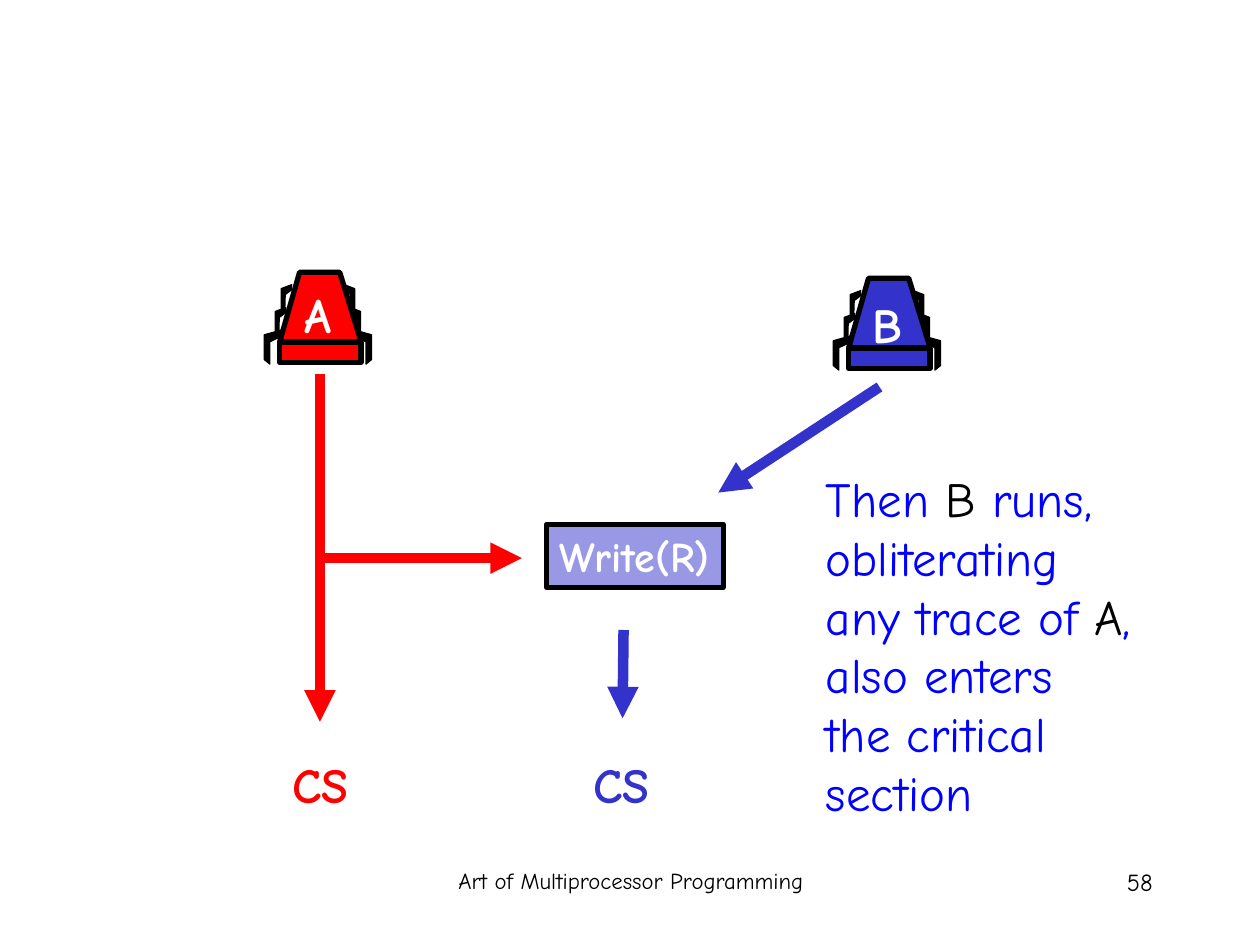
import pptx
import pptx.dml.color
import pptx.enum.shapes
import pptx.enum.text
import pptx.oxml
import pptx.oxml.ns
import pptx.util
from pptx.util import Cm, Pt

FONT = "Comic Neue"
RED, BLUE, TEXT_BLUE = "FF0000", "3333CC", "0000FF"
BLACK, WHITE = "000000", "FFFFFF"
ALIGN = pptx.enum.text.PP_ALIGN
RECT = pptx.enum.shapes.MSO_SHAPE.RECTANGLE

# Leg outlines in cm, from the joint outwards
BIG_LEG = [(0, 0), (0.36, 0.1), (0.36, 0.6), (0.25, 0.69), (0.25, 0.24), (0.02, 0.13)]
SMALL_LEG = [(0, 0), (0.21, 0.08), (0.21, 0.49), (0.14, 0.55), (0.13, 0.2), (0.01, 0.11)]


def rgb(color):
    return pptx.dml.color.RGBColor.from_string(color)


def paint(sp, fill, line=BLACK, width=3):
    sp.shadow.inherit = False
    sp.fill.solid()
    sp.fill.fore_color.rgb = rgb(fill)
    sp.line.color.rgb = rgb(line)
    sp.line.width = Pt(width)


def set_alpha(sp, percent):
    color = sp.fill._xPr.find(".//" + pptx.oxml.ns.qn("a:srgbClr"))
    color.append(pptx.oxml.parse_xml(
        f'<a:alpha {pptx.oxml.ns.nsdecls("a")} val="{percent * 1000}"/>'))


def write(sp, lines, size=28, color=BLACK, bold=False, align=ALIGN.LEFT,
          wrap=True, grow=True):
    """Fill a shape with lines; each line is a list of (text, color or None)."""
    tf = sp.text_frame
    tf.word_wrap = wrap
    if grow:
        tf.auto_size = pptx.enum.text.MSO_AUTO_SIZE.SHAPE_TO_FIT_TEXT
    for i, line in enumerate(lines):
        p = tf.add_paragraph() if i else tf.paragraphs[0]
        p.alignment = align
        for text, run_color in line:
            r = p.add_run()
            r.text = text
            r.font.name = FONT
            r.font.size = Pt(size)
            r.font.bold = bold
            r.font.color.rgb = rgb(run_color or color)


def add_text(shapes, x, y, w, h, text, **fmt):
    lines = [[(text, None)]] if isinstance(text, str) else text
    write(shapes.add_textbox(Cm(x), Cm(y), Cm(w), Cm(h)), lines, **fmt)


def add_outline(shapes, points, fill, width):
    points = [(Cm(x), Cm(y)) for x, y in points]
    builder = shapes.build_freeform(*points[0])
    builder.add_line_segments(points[1:], close=True)
    paint(builder.convert_to_shape(), fill, width=width)


def add_arrow(s, x1, y1, x2, y2, color):
    line = s.shapes.add_connector(pptx.enum.shapes.MSO_CONNECTOR.STRAIGHT,
                                  Cm(x1), Cm(y1), Cm(x2), Cm(y2))
    line.line.color.rgb = rgb(color)
    line.line.width = Pt(6)
    ns = pptx.oxml.ns.nsdecls("a")
    line.line._get_or_add_ln().append(
        pptx.oxml.parse_xml(f'<a:tailEnd {ns} type="triangle"/>'))
    line._element.spPr.append(pptx.oxml.parse_xml(f"<a:effectLst {ns}/>"))


def add_legs(shapes, cx, top, dx, dy, leg):
    for side in (1, -1):
        add_outline(shapes, [(cx + side * (dx + x), top + dy + y) for x, y in leg],
                    BLACK, 0.75)


def add_thread(s, cx, top, color, name, name_dy):
    """A six-legged thread figure with its letter."""
    shapes = s.shapes.add_group_shape().shapes
    add_legs(shapes, cx, top, 0.72, 1.16, BIG_LEG)
    add_legs(shapes, cx, top, 0.65, 0.71, SMALL_LEG)
    body = [(-0.77, 1.4), (-0.37, 0), (0.44, 0), (0.87, 1.4)]
    add_outline(shapes, [(cx + x, top + y) for x, y in body], color, 3)
    foot = shapes.add_shape(RECT, Cm(cx - 0.77), Cm(top + 1.41), Cm(1.64), Cm(0.41))
    paint(foot, color)
    add_legs(shapes, cx, top, 0.53, 0.25, SMALL_LEG)
    add_text(shapes, cx - 0.54, top + name_dy, 1.08, 1.45, name, color=WHITE,
             bold=True, align=ALIGN.CENTER, wrap=False)


def main():
    prs = pptx.Presentation()
    prs.slide_width, prs.slide_height = Cm(25.4), Cm(19.05)
    s = prs.slides.add_slide(prs.slide_layouts[6])

    # Footer and slide number
    add_text(s.shapes, 8.69, 17.35, 8.05, 1.27, "Art of Multiprocessor Programming",
             size=13, align=ALIGN.CENTER, grow=False)
    add_text(s.shapes, 18.21, 17.35, 5.28, 1.27, "58", size=14,
             align=ALIGN.RIGHT, grow=False)

    # Threads
    add_thread(s, 6.41, 5.49, RED, "A", 0.13)
    add_thread(s, 17.88, 5.61, BLUE, "B", 0.2)

    # Path of A
    add_arrow(s, 6.45, 7.54, 6.45, 14.55, RED)
    add_arrow(s, 6.45, 11.25, 10.52, 11.25, RED)

    # Explanation
    add_text(s.shapes, 16.4, 9.32, 10.69, 7.37, [
        [("Then", None), (" B", BLACK), (" runs, obliterating", None)],
        [("any trace of ", None), ("A", BLACK), (",", None)],
        [("also enters", None)],
        [("the critical", None)],
        [("section", None)],
    ], color=TEXT_BLUE)

    # Register write
    box = s.shapes.add_shape(RECT, Cm(11.02), Cm(10.57), Cm(3.56), Cm(1.27))
    paint(box, BLUE)
    set_alpha(box, 50)
    write(box, [[("Write(R)", None)]], size=24, color=WHITE, bold=True, wrap=False)

    # Path of B
    add_arrow(s, 17.73, 7.8, 14.48, 9.93, BLUE)
    add_arrow(s, 12.57, 12.7, 12.55, 14.48, BLUE)

    # Critical sections
    for x, color in ((5.47, RED), (11.54, BLUE)):
        add_text(s.shapes, x, 15.09, 1.8, 1.45, "CS", color=color, bold=True,
                 align=ALIGN.RIGHT, wrap=False)

    prs.save("out.pptx")


if __name__ == "__main__":
    main()
